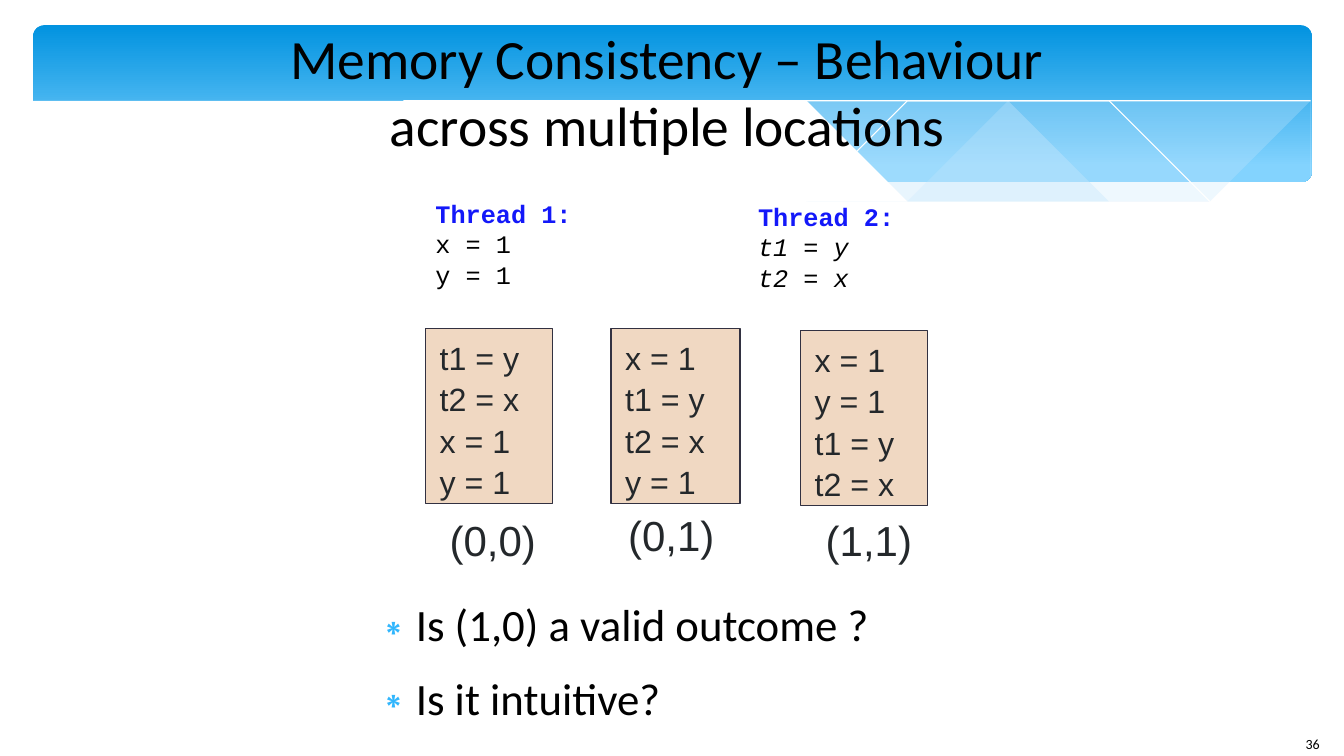
"""Build the memory consistency slide with its threads, interleavings and questions."""
from dataclasses import dataclass

from lxml import etree
from pptx import Presentation
from pptx.dml.color import RGBColor
from pptx.enum import shapes, text
from pptx.oxml import ns
from pptx.util import Inches, Pt

TITLE = "Memory Consistency – Behaviour across multiple locations"
QUESTIONS = ["Is (1,0) a valid outcome\u00a0?", "Is it intuitive?"]
NUMBER = "36"
THREADS = [
    ("Thread 1:", ["x = 1", "y = 1"], False, (4.22, 1.92)),
    ("Thread 2:", ["t1 = y", "t2 = x"], True, (7.42, 1.95)),
]
INTERLEAVINGS = [
    (["t1 = y", "t2 = x", "x = 1", "y = 1"], (4.22, 3.26, 1.26), "(0,0)", (4.46, 5.1)),
    (["x = 1", "t1 = y", "t2 = x", "y = 1"], (6.06, 3.26, 1.28), "(0,1)", (6.23, 5.05)),
    (["x = 1", "y = 1", "t1 = y", "t2 = x"], (7.94, 3.28, 1.26), "(1,1)", (8.19, 5.1)),
]
RIGHT_WAVE = [
    (13.01, 0.94), (12.46, 1.01), (11.88, 1.1), (11.1, 1.25), (10.38, 1.37), (9.72, 1.47),
    (8.82, 1.6), (9.4, 1.65), (9.93, 1.69), (10.41, 1.72), (10.99, 1.72), (11.51, 1.7),
    (11.96, 1.65), (12.47, 1.56), (13.01, 1.42),
]
MIDDLE_WAVE = [
    (11.9, 1.67), (11.16, 1.59), (10.34, 1.49), (9.41, 1.34), (8.39, 1.16), (7.59, 1.02),
    (6.86, 0.92), (6.19, 0.86), (5.6, 0.82), (5.06, 0.8), (4.59, 0.8), (4.18, 0.82),
    (3.82, 0.86), (4.31, 0.9), (5.11, 1.01), (5.99, 1.16), (7.06, 1.35), (8.02, 1.5),
    (8.87, 1.61), (9.63, 1.68), (10.3, 1.72), (10.9, 1.73), (11.43, 1.71),
]
FALLING_CURVE = [
    (4.12, 0.9), (4.38, 0.86), (4.7, 0.84), (5.16, 0.82), (5.77, 0.82), (6.52, 0.84),
    (7.1, 0.88), (7.75, 0.94), (8.48, 1.03), (9.27, 1.14), (10.14, 1.28), (11.08, 1.45),
    (12.1, 1.66),
]
RISING_CURVE = [
    (8.18, 1.51), (8.7, 1.41), (9.27, 1.3), (9.97, 1.17), (10.75, 1.04), (11.55, 0.93),
    (12.13, 0.86), (12.67, 0.82), (13, 0.8),
]
PAGE_EDGE = [
    (13.03, 1.41), (12.66, 1.51), (12.27, 1.59), (11.83, 1.66), (11.34, 1.7), (10.78, 1.71),
    (10.15, 1.7), (9.44, 1.65), (8.63, 1.56), (7.72, 1.44), (6.71, 1.28), (5.96, 1.14),
    (5.21, 1.02), (4.53, 0.92), (3.9, 0.85), (3.33, 0.81), (2.82, 0.78), (2.35, 0.78),
    (1.76, 0.81), (1.27, 0.85), (0.89, 0.91), (0.61, 0.98), (0.38, 1.04), (0.31, 1.07),
    (0.31, 2.24), (13.03, 2.24),
]


@dataclass(frozen=True)
class Theme:
    """Colours, fonts and type sizes of the slide."""
    ink: str = "000000"
    slate: str = "24282B"
    heading: str = "1318F9"
    bullet: str = "31B6FD"
    paper: str = "FFFFFF"
    wave: str = "C6E7FC"
    banner_top: str = "0293E0"
    banner_bottom: str = "83D3FE"
    box: str = "F0D8C2"
    box_line: str = "323141"
    body_font: str = "Calibri"
    code_font: str = "Courier New"
    box_font: str = "Arial"
    title_size: float = 39.6
    body_size: float = 32
    outcome_size: float = 30
    box_size: float = 23
    code_size: float = 18
    number_size: float = 10


THEME = Theme()


def colour(value):
    """Turn a hex string into a colour."""
    return RGBColor.from_string(value)


def write(paragraph, words, font, size, ink, bold=False, italic=False):
    """Add one formatted run to a paragraph."""
    run = paragraph.add_run()
    run.text = words
    run.font.name, run.font.size = font, Pt(size)
    run.font.bold, run.font.italic = bold, italic
    run.font.color.rgb = colour(ink)


def paragraphs(frame, count):
    """Return the first paragraph of a frame followed by new ones."""
    return [frame.paragraphs[0]] + [frame.add_paragraph() for _ in range(count - 1)]


def set_frame(frame, margin=0, wrap=True, anchor=text.MSO_ANCHOR.TOP):
    """Set the insets, wrapping and anchor of a text frame."""
    frame.margin_left = frame.margin_right = Inches(margin)
    frame.margin_top = frame.margin_bottom = Inches(margin / 2)
    frame.word_wrap, frame.vertical_anchor = wrap, anchor
    frame.auto_size = text.MSO_AUTO_SIZE.NONE
    return frame


def add_text(slide, left, top, width, height, **layout):
    """Add a text box and return its frame."""
    box = slide.shapes.add_textbox(*map(Inches, (left, top, width, height)))
    return set_frame(box.text_frame, **layout)


def add_outline(slide, points, fill=None, alpha=None):
    """Draw a filled area, or a white hairline when no fill is given."""
    builder = slide.shapes.build_freeform(*points[0], scale=Inches(1))
    builder.add_line_segments(points[1:], close=fill is not None)
    shape = builder.convert_to_shape()
    shape.shadow.inherit = False
    if fill is None:
        shape.fill.background()
        shape.line.color.rgb = colour(THEME.paper)
        shape.line.width = Pt(0)
        return
    shape.fill.solid()
    shape.fill.fore_color.rgb = colour(fill)
    shape.line.fill.background()
    if alpha:
        tint = shape.element.spPr.find(".//" + ns.qn("a:srgbClr"))
        etree.SubElement(tint, ns.qn("a:alpha")).set("val", str(alpha * 1000))


def add_banner(slide):
    """Draw the blue banner and its waves."""
    banner = slide.shapes.add_shape(
        shapes.MSO_SHAPE.ROUNDED_RECTANGLE, *map(Inches, (0.33, 0.25, 12.68, 1.56)))
    banner.adjustments[0] = 0.07
    banner.shadow.inherit = False
    banner.line.fill.background()
    banner.fill.gradient()
    banner.fill.gradient_angle = 270
    stops = [(0, THEME.banner_top), (0.9, THEME.banner_bottom)]
    for stop, (position, value) in zip(banner.fill.gradient_stops, stops):
        stop.position, stop.color.rgb = position, colour(value)
    add_outline(slide, RIGHT_WAVE, THEME.wave, 29)
    add_outline(slide, MIDDLE_WAVE, THEME.wave, 40)
    add_outline(slide, FALLING_CURVE)
    add_outline(slide, RISING_CURVE)
    add_outline(slide, PAGE_EDGE, THEME.paper)


def place(placeholder, left, top, width, height):
    """Move a placeholder to its place, in front of the banner."""
    placeholder.left, placeholder.top = Inches(left), Inches(top)
    placeholder.width, placeholder.height = Inches(width), Inches(height)
    placeholder.element.getparent().append(placeholder.element)
    return placeholder.text_frame


def add_title_and_questions(slide):
    """Fill the title and body placeholders."""
    frame = set_frame(place(slide.shapes.title, 2.56, 0.39, 8.11, 1.02),
                      anchor=text.MSO_ANCHOR.MIDDLE)
    frame.paragraphs[0].alignment = text.PP_ALIGN.CENTER
    write(frame.paragraphs[0], TITLE, THEME.body_font, THEME.title_size, THEME.ink)
    frame = set_frame(place(slide.placeholders[1], 3.56, 5.92, 8.11, 1.25))
    for paragraph, question in zip(paragraphs(frame, len(QUESTIONS)), QUESTIONS):
        paragraph.space_before, paragraph.space_after = Pt(0), Pt(14.1)
        properties = paragraph._p.get_or_add_pPr()
        properties.set("marL", str(Inches(0.47)))
        properties.set("indent", str(Inches(-0.35)))
        tint = etree.SubElement(properties, ns.qn("a:buClr"))
        etree.SubElement(tint, ns.qn("a:srgbClr")).set("val", THEME.bullet)
        etree.SubElement(properties, ns.qn("a:buChar")).set("char", "∗")
        write(paragraph, question, THEME.body_font, THEME.body_size, THEME.ink)


def add_thread(slide, name, code, italic, corner):
    """Write one thread's heading and statements."""
    frame = add_text(slide, *corner, 2.25, 1.01, margin=0.1)
    heading, *lines = paragraphs(frame, len(code) + 1)
    write(heading, name, THEME.code_font, THEME.code_size, THEME.heading, bold=True)
    for paragraph, statement in zip(lines, code):
        write(paragraph, statement, THEME.code_font, THEME.code_size, THEME.ink, italic=italic)


def add_interleaving(slide, code, place_of_box, outcome, corner):
    """Draw one boxed interleaving with its outcome below."""
    left, top, width = place_of_box
    box = slide.shapes.add_shape(
        shapes.MSO_SHAPE.RECTANGLE, *map(Inches, (left, top, width, 1.74)))
    box.shadow.inherit = False
    box.fill.solid()
    box.fill.fore_color.rgb = colour(THEME.box)
    box.line.color.rgb, box.line.width = colour(THEME.box_line), Pt(0)
    frame = set_frame(box.text_frame, margin=0.14)
    for paragraph, statement in zip(paragraphs(frame, len(code)), code):
        paragraph.alignment = text.PP_ALIGN.LEFT
        paragraph.line_spacing = Pt(29.5)
        write(paragraph, statement, THEME.box_font, THEME.box_size, THEME.slate)
    label = add_text(slide, *corner, 0.86, 0.51, wrap=False)
    write(label.paragraphs[0], outcome, THEME.box_font, THEME.outcome_size, THEME.slate)


def main():
    """Build and save the slide."""
    presentation = Presentation()
    presentation.slide_width, presentation.slide_height = Inches(13.33), Inches(7.5)
    slide = presentation.slides.add_slide(presentation.slide_layouts[1])
    add_banner(slide)
    number = add_text(slide, 12.85, 7.25, 0.48, 0.25, margin=0.1)
    write(number.paragraphs[0], NUMBER, THEME.body_font, THEME.number_size, THEME.ink)
    add_title_and_questions(slide)
    for thread in THREADS:
        add_thread(slide, *thread)
    for interleaving in INTERLEAVINGS:
        add_interleaving(slide, *interleaving)
    presentation.save("out.pptx")


if __name__ == "__main__":
    main()
